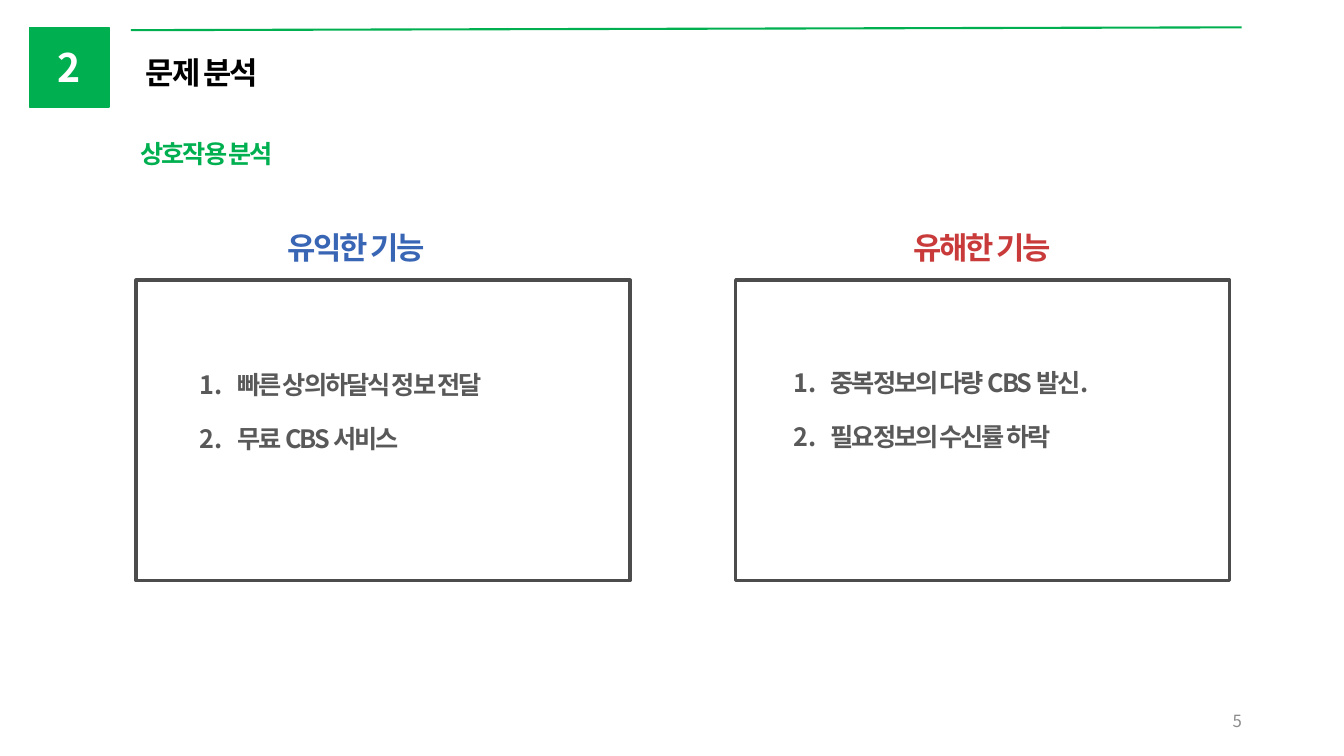
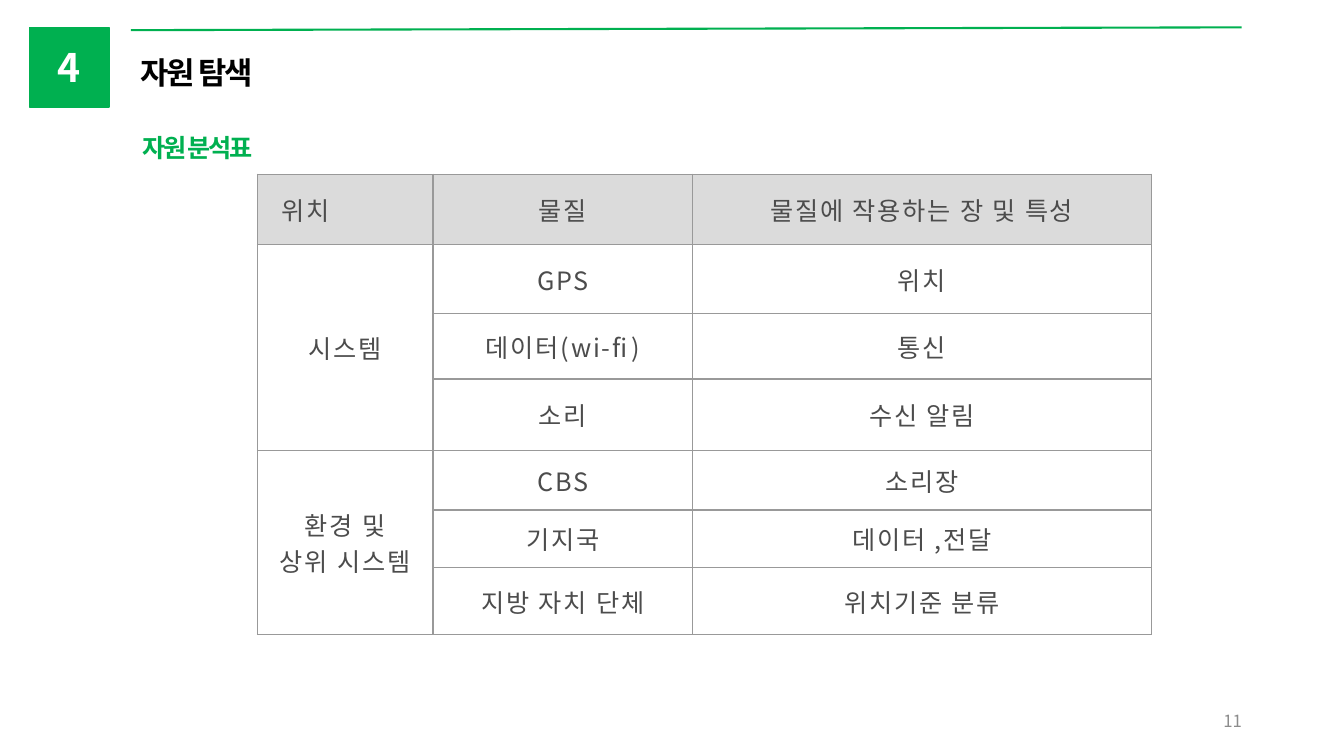
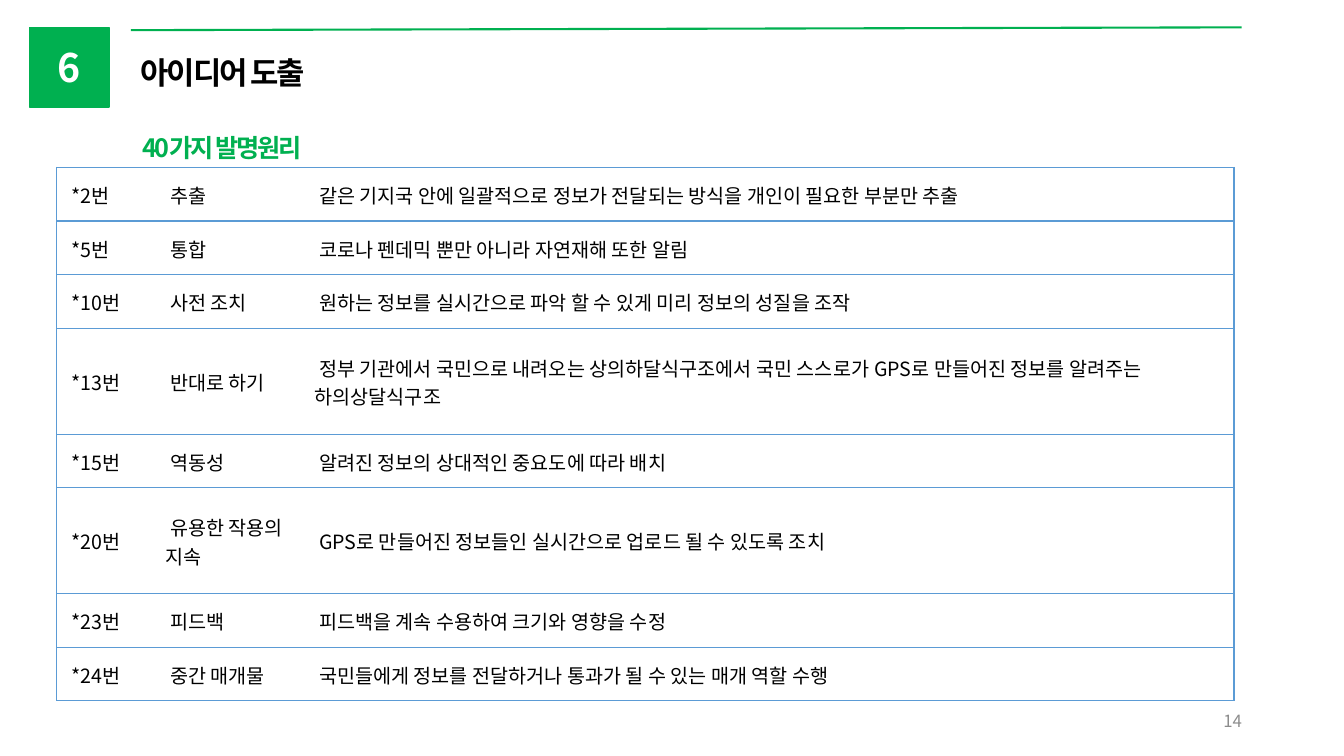
from lxml import etree
from pptx import Presentation
from pptx.dml.color import RGBColor
from pptx.enum import shapes, text
from pptx.oxml import ns
from pptx.util import Cm, Pt

FONT = "Noto Sans CJK KR"
COLORS = {
    "green": "00B050", "white": "FFFFFF", "black": "000000", "number": "8C8C8C",
    "blue": "3965B5", "red": "C93A3A", "list": "595959", "frame": "4C4C4C",
    "header": "DBDBDB", "grid": "999999", "rule": "5B9BD5",
}
TIGHT = -1.5
LEFT, CENTER, RIGHT = text.PP_ALIGN.LEFT, text.PP_ALIGN.CENTER, text.PP_ALIGN.RIGHT
MIDDLE = text.MSO_ANCHOR.MIDDLE

RESOURCES = [
    ["위치", "물질", "물질에 작용하는 장 및 특성"],
    ["시스템", "GPS", "위치"],
    ["", "데이터(wi-fi)", "통신"],
    ["", "소리", "수신 알림"],
    ["환경 및\n상위 시스템", "CBS", "소리장"],
    ["", "기지국", "데이터 ,전달"],
    ["", "지방 자치 단체", "위치기준 분류"],
]
PRINCIPLES = [
    ["*2번", " 추출", " 같은 기지국 안에 일괄적으로 정보가 전달되는 방식을 개인이 필요한 부분만 추출"],
    ["*5번", " 통합", " 코로나 펜데믹 뿐만 아니라 자연재해 또한 알림"],
    ["*10번", " 사전 조치", " 원하는 정보를 실시간으로 파악 할 수 있게 미리 정보의 성질을 조작"],
    ["*13번", " 반대로 하기", " 정부 기관에서 국민으로 내려오는 상의하달식구조에서 국민 스스로가 GPS로 "
     "만들어진 정보를 알려주는 하의상달식구조"],
    ["*15번", " 역동성", " 알려진 정보의 상대적인 중요도에 따라 배치"],
    ["*20번", " 유용한 작용의 지속", " GPS로 만들어진 정보들인 실시간으로 업로드 될 수 있도록 조치"],
    ["*23번", " 피드백", " 피드백을 계속 수용하여 크기와 영향을 수정"],
    ["*24번", " 중간 매개물", " 국민들에게 정보를 전달하거나 통과가 될 수 있는 매개 역할 수행"],
]


def rgb(name):
    """Return the named colour."""
    return RGBColor.from_string(COLORS[name])


def add_node(parent, tag, **attributes):
    """Append a DrawingML element to its parent."""
    return etree.SubElement(parent, ns.qn(tag), attributes)


def write(frame, lines, size, color, bold=False, align=LEFT, spacing=0):
    """Write one paragraph per line into a text frame."""
    for index, line in enumerate(lines):
        para = frame.paragraphs[0] if index == 0 else frame.add_paragraph()
        para.alignment = align
        span = para.add_run()
        span.text = line
        span.font.size, span.font.bold, span.font.name = Pt(size), bold, FONT
        span.font.color.rgb = rgb(color)
        properties = span.font._element
        add_node(properties, "a:ea", typeface=FONT)
        if spacing:
            properties.set("spc", str(round(spacing * 100)))


def add_label(page, left, top, width, height, lines, size, color, **style):
    """Place a wrapping text box and return it."""
    box = page.shapes.add_textbox(Cm(left), Cm(top), Cm(width), Cm(height))
    box.text_frame.word_wrap = True
    write(box.text_frame, lines, size, color, **style)
    return box


def add_rectangle(page, left, top, side, height, line, weight, fill=None):
    """Place a flat rectangle, filled or open."""
    shape = page.shapes.add_shape(shapes.MSO_SHAPE.RECTANGLE, Cm(left), Cm(top), Cm(side), Cm(height))
    shape.shadow.inherit = False
    if fill:
        shape.fill.solid()
        shape.fill.fore_color.rgb = rgb(fill)
    else:
        shape.fill.background()
    shape.line.color.rgb = rgb(line)
    shape.line.width = Pt(weight)
    return shape


def add_page(deck, chapter, title, subtitle, number, title_at=(3.3, 1.22), subtitle_at=(3.33, 3.2)):
    """Add a slide with the shared header and page number."""
    page = deck.slides.add_slide(deck.slide_layouts[6])
    footer = add_label(page, 23.93, 17.65, 7.62, 1.02, [number], 12, "number", align=RIGHT)
    footer.text_frame.vertical_anchor = MIDDLE
    rule = page.shapes.add_connector(shapes.MSO_CONNECTOR.STRAIGHT, Cm(3.3), Cm(0.76), Cm(31.29), Cm(0.69))
    rule.line.color.rgb = rgb("green")
    rule.line.width = Pt(1.5)
    add_node(rule._element.spPr, "a:effectLst")
    badge = add_rectangle(page, 0.74, 0.69, 2.01, 2.01, "green", 1, "green")
    badge.text_frame.vertical_anchor = MIDDLE
    write(badge.text_frame, [chapter], 28, "white", bold=True, align=CENTER)
    add_label(page, *title_at, 25, 1.2, [title], 22, "black", bold=True, spacing=TIGHT)
    add_label(page, *subtitle_at, 22.5, 1.02, [subtitle], 18, "green", bold=True, spacing=TIGHT)
    return page


def add_panel(page, left, top, heading, color, items, heading_shift, list_shift):
    """Draw a framed numbered list under a coloured heading."""
    add_label(page, left + heading_shift, top - 1.42, 9.37, 1.2, [heading], 22, color,
              bold=True, align=CENTER, spacing=TIGHT)
    box = add_label(page, left + list_shift[0], top + list_shift[1], 10.4, 2.6, items, 18, "list",
                    bold=True, spacing=TIGHT)
    for index, para in enumerate(box.text_frame.paragraphs):
        para.space_before = Pt(17 if index else 0)
        properties = para._p.get_or_add_pPr()
        properties.set("marL", str(Cm(0.95)))
        properties.set("indent", str(-Cm(0.95)))
        add_node(properties, "a:buFont", typeface="+mj-lt")
        add_node(properties, "a:buAutoNum", type="arabicPeriod")
    add_rectangle(page, left, top, 12.45, 7.57, "frame", 2.5)


def set_borders(cell, sides, color):
    """Draw the given sides of a cell and clear the others."""
    properties = cell._tc.get_or_add_tcPr()
    for side in "LRTB":
        line = add_node(properties, f"a:ln{side}", w=str(Pt(1)))
        if side in sides:
            add_node(add_node(line, "a:solidFill"), "a:srgbClr", val=COLORS[color])
        else:
            add_node(line, "a:noFill")


def add_grid(page, left, top, widths, heights, rows, margins, border, inner, **style):
    """Place a table, with inner vertical borders if asked, and return it."""
    table = page.shapes.add_table(len(heights), len(widths), Cm(left), Cm(top),
                                  Cm(sum(widths)), Cm(sum(heights))).table
    table.first_row = table.horz_banding = False
    for column, width in zip(table.columns, widths):
        column.width = Cm(width)
    for row, height in zip(table.rows, heights):
        row.height = Cm(height)
    for row, values in enumerate(rows):
        for column, value in enumerate(values):
            cell = table.cell(row, column)
            cell.vertical_anchor = MIDDLE
            cell.margin_left, cell.margin_top, cell.margin_right, cell.margin_bottom = map(Cm, margins)
            sides = "TB" + "L" * (inner or column == 0) + "R" * (inner or column == len(widths) - 1)
            set_borders(cell, sides, border)
            cell.fill.solid()
            cell.fill.fore_color.rgb = rgb("white")
            if value:
                write(cell.text_frame, value.split("\n"), **style)
    return table


def build_interactions(deck):
    """Build the slide comparing useful and harmful functions."""
    page = add_page(deck, "2", "문제 분석", "상호작용 분석", "5", (3.43, 1.24), (3.3, 3.35))
    add_panel(page, 3.43, 7.06, "유익한 기능", "blue",
              ["빠른 상의하달식 정보 전달", "무료 CBS 서비스"], 0.86, (1.35, 2.11))
    add_panel(page, 18.54, 7.06, "유해한 기능", "red",
              ["중복정보의 다량 CBS 발신.", "필요정보의 수신률 하락"], 1.53, (1.2, 2.06))


def build_resources(deck):
    """Build the resource table slide."""
    page = add_page(deck, "4", "자원 탐색", "자원 분석표", "11")
    table = add_grid(page, 6.49, 4.39, [4.42, 6.55, 11.55], [1.78, 1.73, 1.65, 1.8, 1.5, 1.46, 1.68],
                     RESOURCES, (0, 0, 0, 0), "grid", True,
                     size=18, color="frame", align=CENTER, spacing=1.3)
    for cell in table.rows[0].cells:
        cell.fill.fore_color.rgb = rgb("header")
    table.cell(0, 0).margin_right = Cm(2.02)
    for first in (1, 4):
        table.cell(first, 0).merge(table.cell(first + 2, 0))


def build_principles(deck):
    """Build the invention principles slide."""
    page = add_page(deck, "6", "아이디어 도출", "40가지 발명원리", "14")
    heights = [2.67 if row in (3, 5) else 1.35 for row in range(len(PRINCIPLES))]
    add_grid(page, 1.43, 4.22, [2.37, 3.75, 23.55], heights, PRINCIPLES,
             (0.38, 0.03, 0.03, 0), "rule", False, size=14, color="black")


def main():
    """Build and save the deck."""
    deck = Presentation()
    deck.slide_width, deck.slide_height = Cm(33.87), Cm(19.05)
    build_interactions(deck)
    build_resources(deck)
    build_principles(deck)
    deck.save("out.pptx")


if __name__ == "__main__":
    main()
